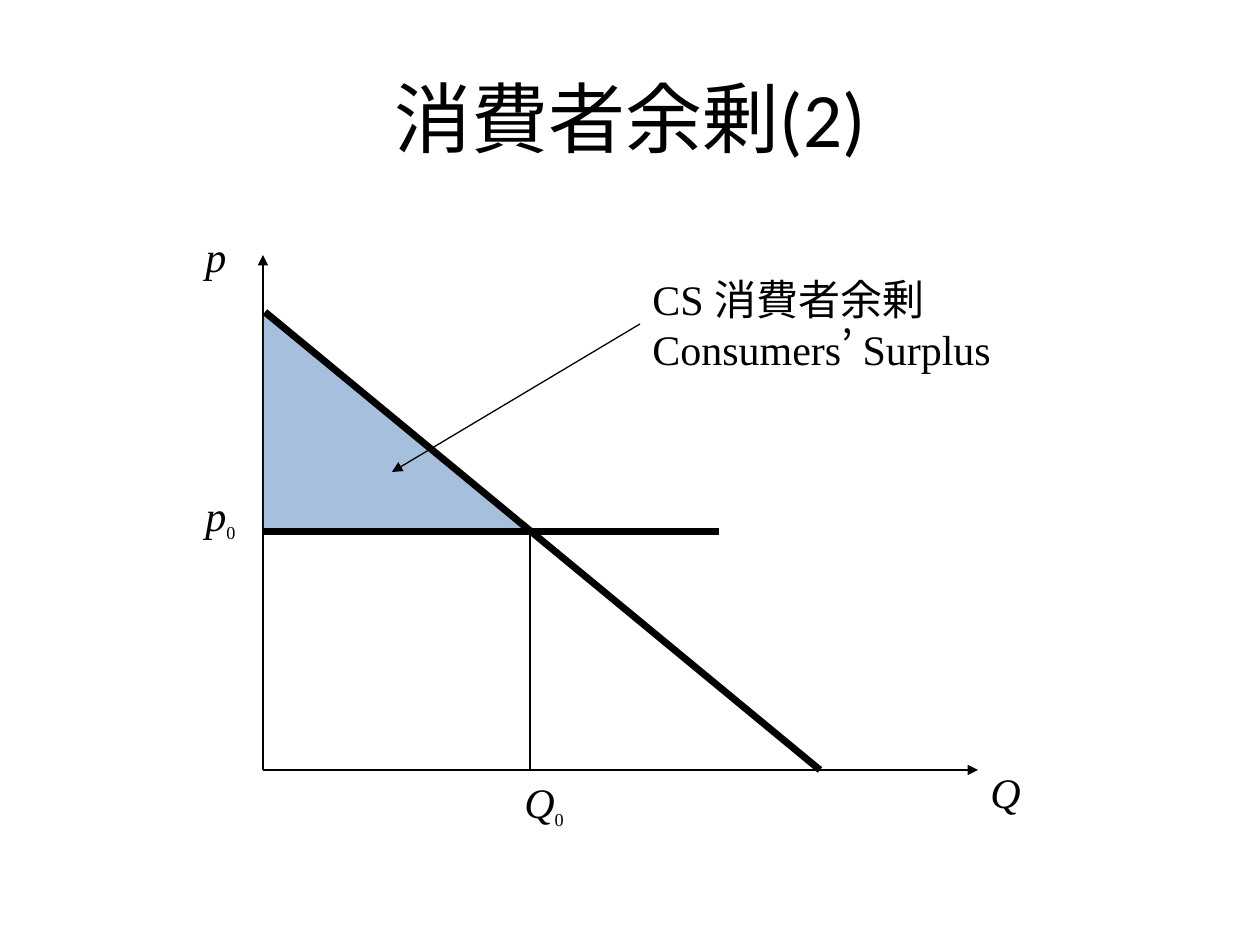
from pptx import Presentation
from pptx.dml.color import RGBColor
from pptx.enum.lang import MSO_LANGUAGE_ID as LANG
from pptx.enum.shapes import MSO_CONNECTOR as CONN, MSO_SHAPE as SHAPE
from pptx.enum.text import MSO_ANCHOR as ANCHOR, MSO_AUTO_SIZE as AUTO, PP_ALIGN as ALIGN
from pptx.oxml.ns import qn
from pptx.util import Pt
from lxml.etree import SubElement

SCALE = 914400 / 126
HEX = {"ink": "000000", "area": "4F81BD"}
SERIF = "Times New Roman"
THIN, THICK = 0.75, 4

TITLE = "消費者余剰(2)"
X0, Y0 = 263, 770  # origin of the axes
QX, PY = 530, 532  # equilibrium quantity and price
TOP = 314  # where demand meets the price axis

# start, end, width, arrowhead
AXES = [
    ((X0, Y0), (978, Y0), THIN, True),
    ((X0, Y0), (X0, 255), THIN, True),
]
GUIDES = [
    ((QX, PY), (QX, Y0), THIN, False),
    ((640, 324), (392, 472), THIN, True),
]
CURVES = [
    ((265, 312), (820, Y0), THICK, False),
    ((X0, PY), (719, PY), THICK, False),
]
# text, subscript, box, italic
LABELS = [
    ("p", "", (193, 224, 59, 63), True),
    ("Q", "", (978, 760, 79, 63), True),
    ("p", "0", (193, 483, 59, 63), True),
    ("Q", "0", (512, Y0, 79, 63), True),
    ("CS 消費者余剰 Consumers’ Surplus", "", (640, 267, 427, 115), False),
]


def px(*vals):
    return [round(v * SCALE) for v in vals]


def color(name):
    return RGBColor.from_string(HEX[name])


def style(font, **vals):
    for key, val in vals.items():
        setattr(font, key, val)
    font.color.rgb = color("ink")


def stroke(line, width):
    line.color.rgb = color("ink")
    line.width = Pt(width)


def draw(shapes, lines):
    for start, end, width, arrow in lines:
        item = shapes.add_connector(CONN.STRAIGHT, *px(*start, *end))
        stroke(item.line, width)
        props = item._element.spPr
        if arrow:
            SubElement(props.find(qn("a:ln")), qn("a:tailEnd"), type="triangle")
        SubElement(props, qn("a:effectLst"))


def label(shapes, text, sub, box, italic):
    frame = shapes.add_textbox(*px(*box)).text_frame
    frame.word_wrap = True
    frame.auto_size = AUTO.SHAPE_TO_FIT_TEXT
    par = frame.paragraphs[0]
    run = par.add_run()
    run.text = text
    style(run.font, name=SERIF, size=Pt(24), italic=italic, language_id=LANG.JAPANESE)
    if sub:
        run = par.add_run()
        run.text = sub
        style(run.font, name=SERIF, size=Pt(18), italic=False)
        run.font._element.set("baseline", "-25000")


def surplus(shapes):
    """Shade the area between demand and price."""
    box = px(X0, TOP, QX - X0, PY - TOP)
    area = shapes.add_shape(SHAPE.RIGHT_TRIANGLE, *box)
    area.shadow.inherit = False
    area.fill.solid()
    area.fill.fore_color.rgb = color("area")
    tone = area._element.spPr.find(qn("a:solidFill"))[0]
    SubElement(tone, qn("a:alpha"), val="50000")
    stroke(area.line, THIN)


def main():
    deck = Presentation()
    deck.slide_width, deck.slide_height = px(1260, 945)
    shapes = deck.slides.add_slide(deck.slide_layouts[5]).shapes

    head = shapes.title
    head.left, head.top, head.width, head.height = px(63, 38, 1134, 157)
    head.text_frame.text = TITLE
    head.text_frame.vertical_anchor = ANCHOR.MIDDLE
    par = head.text_frame.paragraphs[0]
    par.alignment = ALIGN.CENTER
    style(par.runs[0].font, name="Calibri", size=Pt(44), language_id=LANG.JAPANESE)

    draw(shapes, AXES)
    surplus(shapes)
    draw(shapes, GUIDES)
    for item in LABELS:
        label(shapes, *item)
    draw(shapes, CURVES)
    deck.save("out.pptx")


if __name__ == "__main__":
    main()
